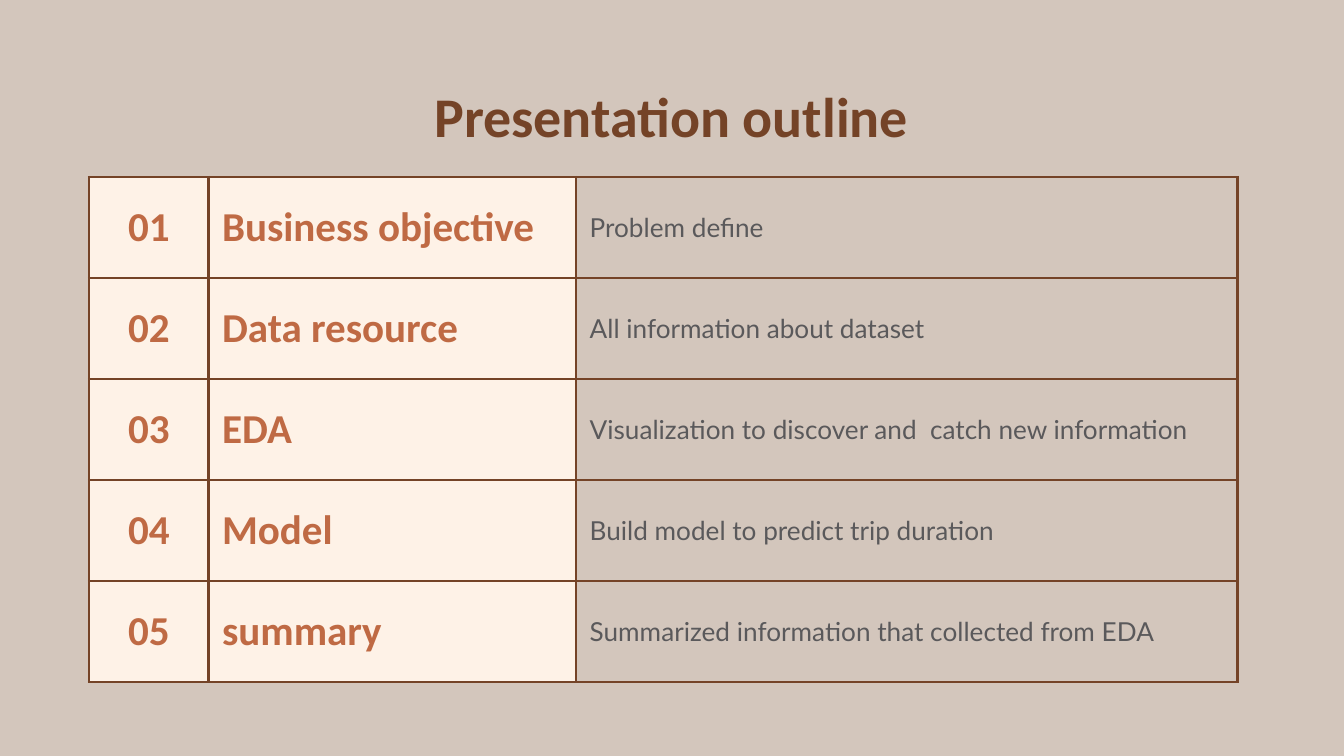
"""Build the presentation outline slide with its five-part agenda table."""
from lxml.etree import SubElement
from pptx import Presentation
from pptx.dml.color import RGBColor
from pptx.enum.text import MSO_ANCHOR as Anchor, PP_ALIGN as Align
from pptx.oxml.ns import qn
from pptx.util import Pt

BROWN, RUST, CREAM, GREY, SAND = "744327", "BF6A44", "FEF2E7", "5A595B", "D3C6BC"
INSET = Pt(7.2)


def paint(target, colour):
    target.solid()
    target.fore_color.rgb = RGBColor.from_string(colour)


def write(holder, frame, wording, align, colour, font_format):
    frame.text = wording
    holder.vertical_anchor = Anchor.MIDDLE
    for side in ("left", "right", "top", "bottom"):
        setattr(holder, f"margin_{side}", INSET)
    paragraph = frame.paragraphs[0]
    paragraph.alignment = align
    font = paragraph.runs[0].font
    for name, value in font_format.items():
        setattr(font, name, value)
    paint(font.fill, colour)


presentation = Presentation()
presentation.slide_width, presentation.slide_height = Pt(720), Pt(405)
slide = presentation.slides.add_slide(presentation.slide_layouts[5])
paint(slide.background.fill, SAND)

title = slide.shapes.title
title_place = {"left": Pt(56.2), "top": Pt(35.3), "width": Pt(607), "height": Pt(53.3)}
for name, value in title_place.items():
    setattr(title, name, value)
title_font = {"name": "Calibri", "size": Pt(30), "bold": True}
write(title.text_frame, title.text_frame, "Presentation outline", Align.CENTER, BROWN, title_font)

topics = [
    ("Business objective", "Problem define"),
    ("Data resource", "All information about dataset"),
    ("EDA", "Visualization to discover and  catch new information"),
    ("Model", "Build model to predict trip duration"),
    ("summary", "Summarized information that collected from EDA"),
]
heading_font = {"name": "Calibri", "size": Pt(22), "bold": True}
detail_font = {"name": "Lato", "size": Pt(14), "bold": False}
columns = [
    (64.1, Align.CENTER, RUST, heading_font, CREAM),
    (196.9, Align.LEFT, RUST, heading_font, CREAM),
    (354.3, Align.LEFT, GREY, detail_font, None),
]
row_height = 54.14
table_width = sum(column[0] for column in columns)
outline = slide.shapes.add_table(
    len(topics), len(columns), Pt(47.7), Pt(94.9), Pt(table_width), Pt(row_height * len(topics))
).table
outline.first_row = outline.horz_banding = False

for row, (topic, detail) in enumerate(topics):
    outline.rows[row].height = Pt(row_height)
    wordings = (f"{row + 1:02}", topic, detail)
    for col, (width, align, colour, font_format, backing) in enumerate(columns):
        outline.columns[col].width = Pt(width)
        cell = outline.cell(row, col)
        write(cell, cell.text_frame, wordings[col], align, colour, font_format)
        properties = cell._tc.get_or_add_tcPr()
        for edge in ("lnL", "lnR", "lnT", "lnB"):
            border = SubElement(properties, qn(f"a:{edge}"), w=str(Pt(1.5)))
            SubElement(SubElement(border, qn("a:solidFill")), qn("a:srgbClr"), val=BROWN)
        if backing:
            paint(cell.fill, backing)
        else:
            cell.fill.background()

presentation.save("out.pptx")
